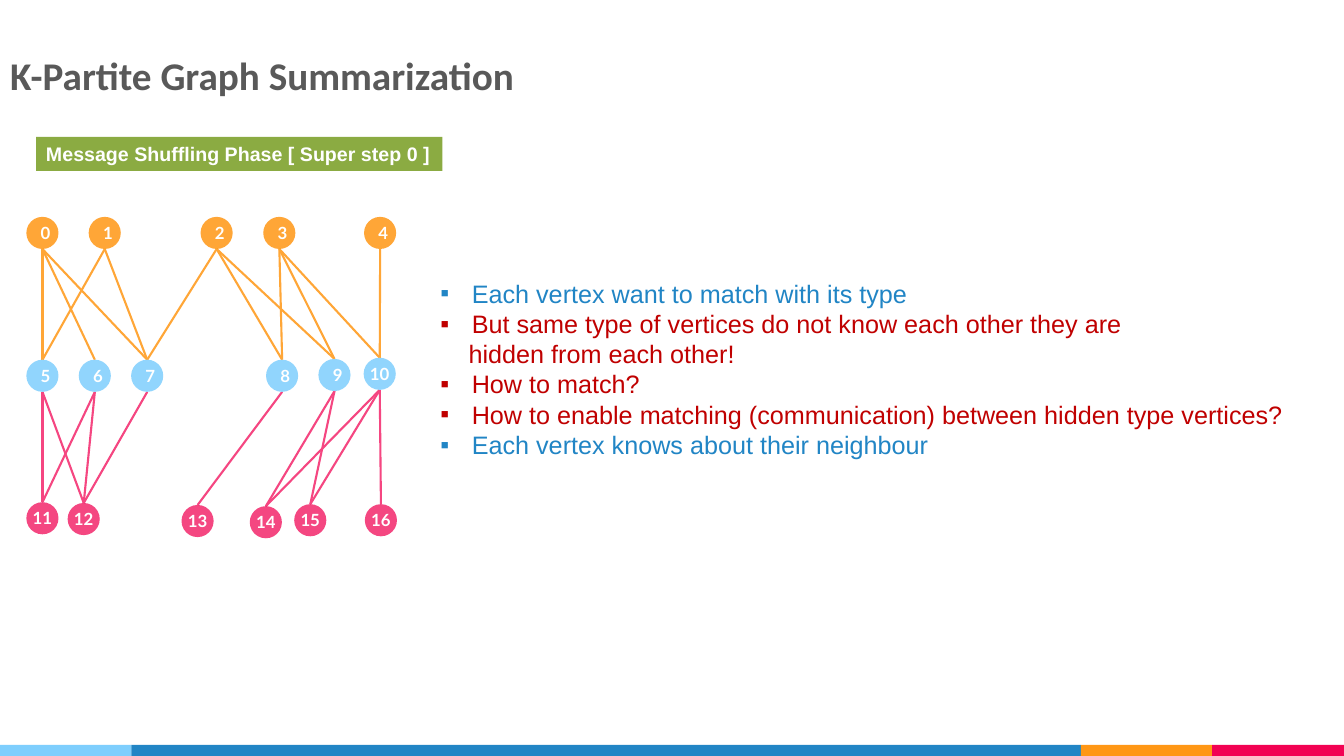
"""Build the K-partite graph summarization slide."""
from lxml.etree import SubElement
from pptx import Presentation
from pptx.dml.color import RGBColor
from pptx.enum.shapes import MSO_CONNECTOR as Connector, MSO_SHAPE as Shape
from pptx.enum.text import MSO_ANCHOR as Anchor, MSO_AUTO_SIZE as AutoSize, PP_ALIGN as Align
from pptx.oxml.ns import qn
from pptx.util import Cm, Pt

COLORS = {
    "title": "595959", "white": "FFFFFF", "green": "8BAB42",
    "blue": "2185C5", "red": "C00000", "sky": "7ECEFD",
    "orange": "FF9715", "pink": "F20253",
    "top": "FF9715", "middle": "91D5FD", "bottom": "F3276C",
    "top edge": "FFA637", "bottom edge": "F54681",
}
OPACITY = {"top": 85, "middle": 100, "bottom": 85}
DIAMETER = 0.81
VERTICES = {
    "top": [(0, 1.07, 5.87), (1, 2.64, 5.87), (2, 5.46, 5.87),
            (3, 7.04, 5.87), (4, 9.58, 5.87)],
    "middle": [(5, 1.07, 9.47), (6, 2.39, 9.47), (7, 3.71, 9.47),
               (8, 7.11, 9.47), (9, 8.43, 9.45), (10, 9.57, 9.42)],
    "bottom": [(11, 1.07, 13.06), (12, 2.11, 13.08), (13, 4.98, 13.13),
               (14, 6.7, 13.16), (15, 7.82, 13.11), (16, 9.6, 13.11)],
}
NEIGHBOURS = {
    0: [5, 6, 7], 1: [5, 7], 2: [7, 8, 9], 3: [8, 9, 10], 4: [10],
    5: [11, 12], 6: [11, 12], 7: [12], 8: [13], 9: [14, 15], 10: [14, 15, 16],
}
POINTS = [
    ("Each vertex want to match with its type", "blue", True),
    ("But same type of vertices do not know each other they are", "red", True),
    ("hidden from each other!", "red", False),
    ("How to match?", "red", True),
    ("How to enable matching (communication) between hidden type vertices?", "red", True),
    ("Each vertex knows about their neighbour", "blue", True),
]
FOOTER = [("sky", 3.31), ("blue", 23.93), ("orange", 3.31), ("pink", 3.32)]


def color(name):
    """Return the named colour."""
    return RGBColor.from_string(COLORS[name])


def style(paragraph, font, size, shade, bold=False):
    """Format every run of a paragraph."""
    for run in paragraph.runs:
        run.font.name = font
        run.font.size = Pt(size)
        run.font.bold = bold
        run.font.color.rgb = color(shade)


def add_block(slide, kind, left, top, width, height, shade):
    """Add a flat filled shape."""
    block = slide.shapes.add_shape(kind, Cm(left), Cm(top), Cm(width), Cm(height))
    block.shadow.inherit = False
    block.fill.solid()
    block.fill.fore_color.rgb = color(shade)
    block.line.fill.background()
    return block


def set_opacity(block, percent):
    """Make a solid fill partly transparent."""
    fill_color = block.fill._xPr.find(qn("a:solidFill"))[0]
    SubElement(fill_color, qn("a:alpha"), val=str(percent * 1000))


def add_vertex(slide, number, x, y, layer):
    """Add a numbered vertex centred on a point."""
    vertex = add_block(slide, Shape.OVAL, x - DIAMETER / 2, y - DIAMETER / 2,
                       DIAMETER, DIAMETER, layer)
    if OPACITY[layer] < 100:
        set_opacity(vertex, OPACITY[layer])
    frame = vertex.text_frame
    frame.text = str(number)
    frame.word_wrap = False
    frame.vertical_anchor = Anchor.MIDDLE
    frame.margin_left = Cm(0.16 if number < 10 else 0)
    frame.margin_right = frame.margin_top = frame.margin_bottom = 0
    frame.paragraphs[0].alignment = Align.CENTER
    style(frame.paragraphs[0], "Lato", 12, "white", bold=True)


def add_edge(slide, upper, lower, shade):
    """Join the foot of one vertex to the head of another."""
    edge = slide.shapes.add_connector(
        Connector.STRAIGHT,
        Cm(upper[0]), Cm(upper[1] + DIAMETER / 2),
        Cm(lower[0]), Cm(lower[1] - DIAMETER / 2))
    edge.line.color.rgb = color(shade)
    edge.line.width = Pt(1.5)
    SubElement(edge._element.spPr, qn("a:effectLst"))


def add_graph(slide):
    """Draw the edges, then the vertices over them."""
    centres = {number: (x, y) for layer in VERTICES.values() for number, x, y in layer}
    for upper, neighbours in NEIGHBOURS.items():
        shade = "top edge" if upper < 5 else "bottom edge"
        for lower in neighbours:
            add_edge(slide, centres[upper], centres[lower], shade)
    for layer, vertices in VERTICES.items():
        for number, x, y in vertices:
            add_vertex(slide, number, x, y, layer)


def add_title(slide):
    """Place and format the title."""
    title = slide.shapes.title
    title.left, title.top, title.width, title.height = Cm(0), Cm(1.17), Cm(33.87), Cm(1.45)
    frame = title.text_frame
    frame.text = "K-Partite Graph Summarization"
    frame.auto_size = AutoSize.NONE
    frame.vertical_anchor = Anchor.TOP
    frame.paragraphs[0].alignment = Align.LEFT
    style(frame.paragraphs[0], "Calibri", 28, "title", bold=True)


def add_phase_label(slide):
    """Add the green label of the phase."""
    label = add_block(slide, Shape.RECTANGLE, 0.91, 3.45, 10.24, 0.86, "green")
    frame = label.text_frame
    frame.text = "Message Shuffling Phase [ Super step 0 ]"
    frame.word_wrap = False
    frame.vertical_anchor = Anchor.TOP
    frame.paragraphs[0].alignment = Align.LEFT
    style(frame.paragraphs[0], "Arial", 14, "white", bold=True)


def add_points(slide):
    """Add the bulleted observations."""
    frame = slide.shapes.add_textbox(Cm(10.85), Cm(6.88), Cm(21.95), Cm(5.64)).text_frame
    frame.word_wrap = True
    frame.text = "\n".join(text for text, _, _ in POINTS)
    for paragraph, (_, shade, bulleted) in zip(frame.paragraphs, POINTS):
        style(paragraph, "Arial", 18, shade)
        properties = paragraph._p.get_or_add_pPr()
        properties.set("marL", str(Cm(0.79 if bulleted else 0.71)))
        if bulleted:
            properties.set("indent", str(Cm(-0.79)))
            SubElement(properties, qn("a:buFont"), typeface="Arial")
            SubElement(properties, qn("a:buChar"), char="▪")


def add_footer(slide):
    """Add the coloured strip along the bottom edge."""
    left = 0
    for shade, width in FOOTER:
        add_block(slide, Shape.RECTANGLE, left, 18.77, width, 0.28, shade)
        left += width


def main():
    """Build and save the slide."""
    deck = Presentation()
    deck.slide_width, deck.slide_height = Cm(33.87), Cm(19.05)
    slide = deck.slides.add_slide(deck.slide_layouts[5])
    add_footer(slide)
    add_title(slide)
    add_graph(slide)
    add_phase_label(slide)
    add_points(slide)
    deck.save("out.pptx")


if __name__ == "__main__":
    main()
